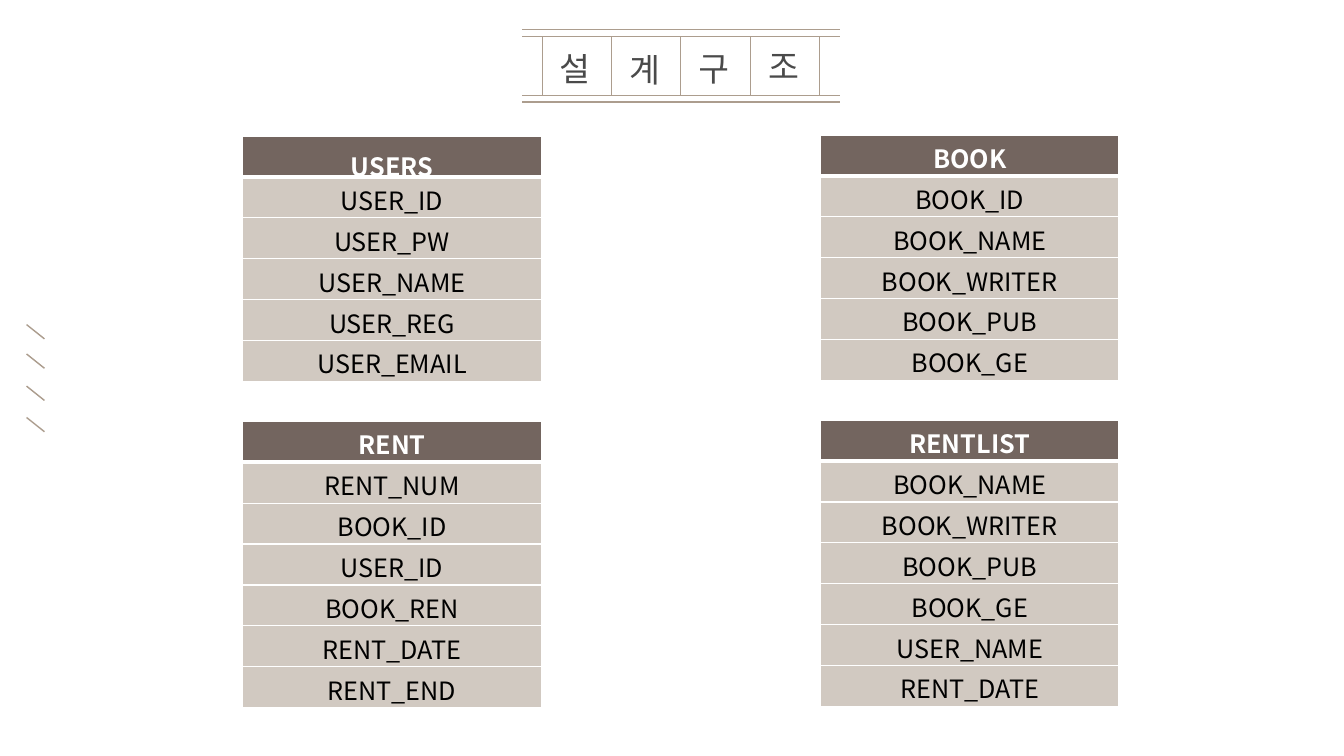
from dataclasses import dataclass

from lxml import etree
from pptx import Presentation
from pptx import util as u
from pptx.dml.color import RGBColor
from pptx.enum import shapes, text
from pptx.oxml import ns


@dataclass(frozen=True)
class Theme:
    font: str = "Noto Sans CJK KR"
    line: str = "AC9D8E"
    title: str = "000000"
    title_alpha: int = 71
    header_fill: str = "73655F"
    header_text: str = "FFFFFF"
    row_fill: str = "D1C9C1"
    row_text: str = "000000"
    border: str = "FFFFFF"
    title_size: int = 24
    table_size: int = 18


THEME = Theme()
ROW_HEIGHT = 1.03


def add_child(parent, tag, **attributes):
    return etree.SubElement(parent, ns.qn(tag), **attributes)


def add_line(slide, x1, y1, x2, y2, width=0.75):
    line = slide.shapes.add_connector(
        shapes.MSO_CONNECTOR.STRAIGHT, u.Cm(x1), u.Cm(y1), u.Cm(x2), u.Cm(y2))
    line.line.color.rgb = RGBColor.from_string(THEME.line)
    line.line.width = u.Pt(width)
    add_child(line.element.spPr, "a:effectLst")


def style_run(run, size, color, bold=False):
    run.font.name = THEME.font
    run.font.size = u.Pt(size)
    run.font.bold = bold
    run.font.color.rgb = RGBColor.from_string(color)
    # East Asian typeface follows the Latin one
    latin = run.font._element.find(ns.qn("a:latin"))
    east_asian = etree.Element(ns.qn("a:ea"), typeface=THEME.font)
    latin.addnext(east_asian)


def set_borders(cell, bottom_width):
    properties = cell._tc.get_or_add_tcPr()
    sides = {"a:lnL": 1, "a:lnR": 1, "a:lnT": 1, "a:lnB": bottom_width}
    for position, (tag, width) in enumerate(sides.items()):
        border = etree.Element(ns.qn(tag), w=str(u.Pt(width)))
        fill = add_child(border, "a:solidFill")
        add_child(fill, "a:srgbClr", val=THEME.border)
        properties.insert(position, border)


# Slanted marks at the left edge
def add_slashes(slide, left, tops, width, height):
    for top in tops:
        add_line(slide, left, top, left + width, top + height, 1)


# Title: one syllable per cell between double rules
def add_title(slide, left, top, width, syllables):
    inner_top, inner_bottom = top + 0.17, top + 1.67
    for y in (top, inner_top, inner_bottom, top + 1.83):
        add_line(slide, left, y, left + width, y)

    pitch = 1.75
    first = left + (width - pitch * len(syllables)) / 2
    for index in range(len(syllables) + 1):
        x = first + pitch * index
        add_line(slide, x, inner_top, x, inner_bottom)

    for index, (syllable, drop) in enumerate(syllables):
        box = slide.shapes.add_textbox(
            u.Cm(first + pitch * index + 0.2), u.Cm(top + drop), u.Cm(1.37), u.Cm(1.27))
        box.text_frame.word_wrap = True
        box.text_frame.text = syllable
        run = box.text_frame.paragraphs[0].runs[0]
        style_run(run, THEME.title_size, THEME.title)
        color = run.font._element.find(".//" + ns.qn("a:srgbClr"))
        add_child(color, "a:alpha", val=str(THEME.title_alpha * 1000))


# Database table: a header row and its fields
def add_entity(slide, left, top, width, name, fields, header_spacing=None):
    names = [name, *fields]
    frame = slide.shapes.add_table(
        len(names), 1, u.Cm(left), u.Cm(top), u.Cm(width), u.Cm(ROW_HEIGHT * len(names)))
    table = frame.table
    for index, label in enumerate(names):
        header = index == 0
        table.rows[index].height = u.Cm(ROW_HEIGHT)
        cell = table.cell(index, 0)
        cell.margin_top, cell.margin_bottom = u.Cm(0.1), u.Cm(0)
        cell.vertical_anchor = text.MSO_ANCHOR.MIDDLE
        cell.fill.solid()
        cell.fill.fore_color.rgb = RGBColor.from_string(
            THEME.header_fill if header else THEME.row_fill)
        set_borders(cell, 3 if header else 1)
        cell.text_frame.text = label
        paragraph = cell.text_frame.paragraphs[0]
        paragraph.alignment = text.PP_ALIGN.CENTER
        if header and header_spacing:
            paragraph.line_spacing = header_spacing
        style_run(paragraph.runs[0], THEME.table_size,
                  THEME.header_text if header else THEME.row_text, header)


def main():
    presentation = Presentation()
    presentation.slide_width, presentation.slide_height = u.Cm(33.87), u.Cm(19.05)
    slide = presentation.slides.add_slide(presentation.slide_layouts[6])

    add_slashes(slide, 0.67, (8.18, 8.92, 9.73, 10.52), 0.45, 0.36)
    add_title(slide, 13.16, 0.74, 8,
              [("설", 0.35), ("계", 0.38), ("구", 0.35), ("조", 0.28)])

    left, right, width = 6.12, 20.68, 7.52
    add_entity(slide, left, 3.43, width, "USERS",
               ["USER_ID", "USER_PW", "USER_NAME", "USER_REG", "USER_EMAIL"], 1.2)
    add_entity(slide, right, 3.4, width, "BOOK",
               ["BOOK_ID", "BOOK_NAME", "BOOK_WRITER", "BOOK_PUB", "BOOK_GE"])
    add_entity(slide, right, 10.59, width, "RENTLIST",
               ["BOOK_NAME", "BOOK_WRITER", "BOOK_PUB", "BOOK_GE", "USER_NAME", "RENT_DATE"])
    add_entity(slide, left, 10.62, width, "RENT",
               ["RENT_NUM", "BOOK_ID", "USER_ID", "BOOK_REN", "RENT_DATE", "RENT_END"])

    presentation.save("out.pptx")


if __name__ == "__main__":
    main()
